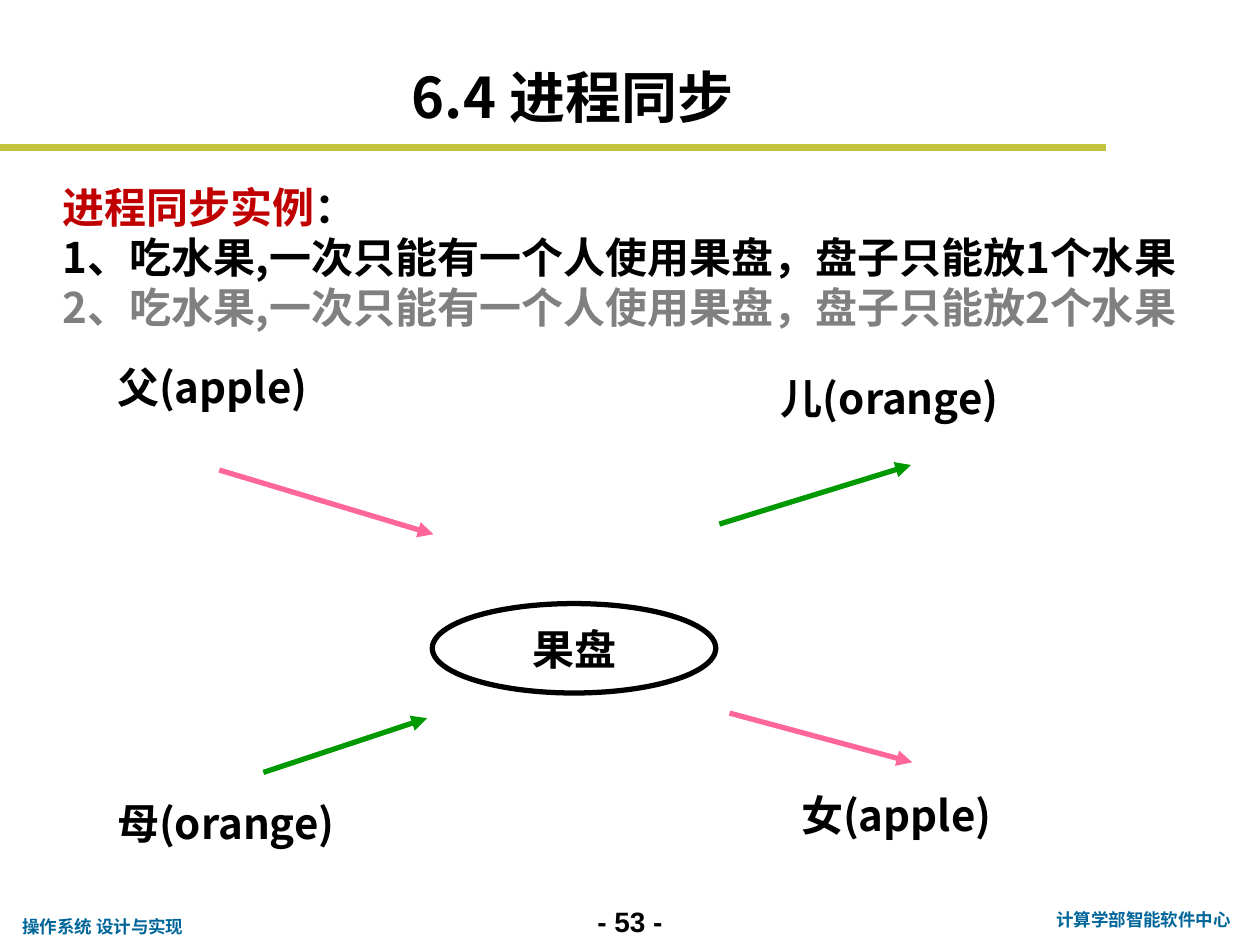
from lxml import etree
from pptx import Presentation
from pptx.dml.color import RGBColor
from pptx.enum.shapes import MSO_CONNECTOR, MSO_SHAPE
from pptx.enum.text import MSO_ANCHOR, MSO_AUTO_SIZE, PP_ALIGN
from pptx.oxml.ns import qn
from pptx.util import Pt

LEFT, CENTER = PP_ALIGN.LEFT, PP_ALIGN.CENTER
TOP, MIDDLE, BOTTOM = MSO_ANCHOR.TOP, MSO_ANCHOR.MIDDLE, MSO_ANCHOR.BOTTOM
HAN = "Noto Sans CJK SC"
BLACK, RED, GREY, BLUE = "000000", "C00000", "808080", "006699"
PINK, GREEN, OLIVE = "FF6699", "009900", "C1C43C"

TITLE = ("6.4 进程同步", (228.2, 32.4, 282.2, 45.4))
EXAMPLES = [
    [("进程同步实例", RED), ("：", BLACK)],
    [("1、吃水果,一次只能有一个人使用果盘，盘子只能放1个水果", BLACK)],
    [("2、吃水果,一次只能有一个人使用果盘，盘子只能放2个水果", GREY)],
]
EXAMPLES_BOX = (28.8, 100.1, 681.1, 123.8)
PLATE = ("果盘", (247, 344.9, 162, 51.1))
PEOPLE = [
    ("父(apple)", 59.8, 203),
    ("母(orange)", 59.8, 452.2),
    ("儿(orange)", 439.2, 209.5),
    ("女(apple)", 450.7, 447.8),
]
PERSON_SIZE = (197.3, 36.7)
ARROWS = [
    ((125.3, 268.6), (247.7, 305.3), PINK),
    ((150.5, 441.4), (244.1, 410.4), GREEN),
    ((411.1, 299.5), (520.6, 265.7), GREEN),
    ((416.9, 407.5), (521.3, 435.6), PINK),
]
RULE = ((0, 84.2), (632.2, 84.2), OLIVE)
FOOTERS = [
    ("- 53 -", (324, 513.4, 72, 26.6), 16, "Arial", BLACK, CENTER, True),
    ("计算学部智能软件中心", (594, 516.2, 118.8, 19.4), 10, "Roboto", BLUE, CENTER, True),
    ("操作系统 设计与实现", (5.8, 519.8, 108, 19.4), 10, "Roboto", BLUE, LEFT, False),
]


def rgb(value):
    return RGBColor.from_string(value)


def points(values):
    return [Pt(value) for value in values]


def write(shape, lines, size=24, face=HAN, align=LEFT, anchor=TOP, wrap=True, pitch=None):
    frame = shape.text_frame
    settings = {"word_wrap": wrap, "auto_size": MSO_AUTO_SIZE.NONE, "vertical_anchor": anchor}
    for key, value in settings.items():
        setattr(frame, key, value)
    for index, line in enumerate(lines):
        paragraph = frame.add_paragraph() if index else frame.paragraphs[0]
        paragraph.alignment = align
        if pitch:
            paragraph.line_spacing = Pt(pitch)
        for words, color in line:
            run = paragraph.add_run()
            run.text = words
            for key, value in {"size": Pt(size), "bold": True, "name": face}.items():
                setattr(run.font, key, value)
            run.font.color.rgb = rgb(color)
            latin = run.font._element.find(qn("a:latin"))
            east_asian = etree.Element(qn("a:ea"), typeface=HAN)
            latin.addnext(east_asian)


def draw_line(slide, start, end, color, width, arrow=False):
    line = slide.shapes.add_connector(MSO_CONNECTOR.STRAIGHT, *points(start + end))
    line.line.color.rgb = rgb(color)
    line.line.width = Pt(width)
    if arrow:
        etree.SubElement(line.line._get_or_add_ln(), qn("a:tailEnd"), type="triangle")
    etree.SubElement(line._element.spPr, qn("a:effectLst"))


def main():
    deck = Presentation()
    deck.slide_width, deck.slide_height = points((720, 540))
    slide = deck.slides.add_slide(deck.slide_layouts[5])
    shapes = slide.shapes

    heading, heading_box = TITLE
    title = shapes.title
    for key, value in zip(("left", "top", "width", "height"), points(heading_box)):
        setattr(title, key, value)
    write(title, [[(heading, BLACK)]], size=32, anchor=BOTTOM)

    draw_line(slide, *RULE, width=4)
    for words, box, size, face, color, align, wrap in FOOTERS:
        footer = shapes.add_textbox(*points(box))
        write(footer, [[(words, color)]], size, face, align, wrap=wrap)

    label, plate_box = PLATE
    plate = shapes.add_shape(MSO_SHAPE.OVAL, *points(plate_box))
    plate.shadow.inherit = False
    plate.fill.background()
    plate.line.color.rgb = rgb(BLACK)
    plate.line.width = Pt(3)
    write(plate, [[(label, BLACK)]], align=CENTER, anchor=MIDDLE)

    for start, end, color in ARROWS:
        draw_line(slide, start, end, color, width=3, arrow=True)
    for words, left, top in PEOPLE:
        person = shapes.add_textbox(*points((left, top) + PERSON_SIZE))
        write(person, [[(words, BLACK)]])

    examples = shapes.add_textbox(*points(EXAMPLES_BOX))
    write(examples, EXAMPLES, pitch=28.6)

    deck.save("out.pptx")


if __name__ == "__main__":
    main()
